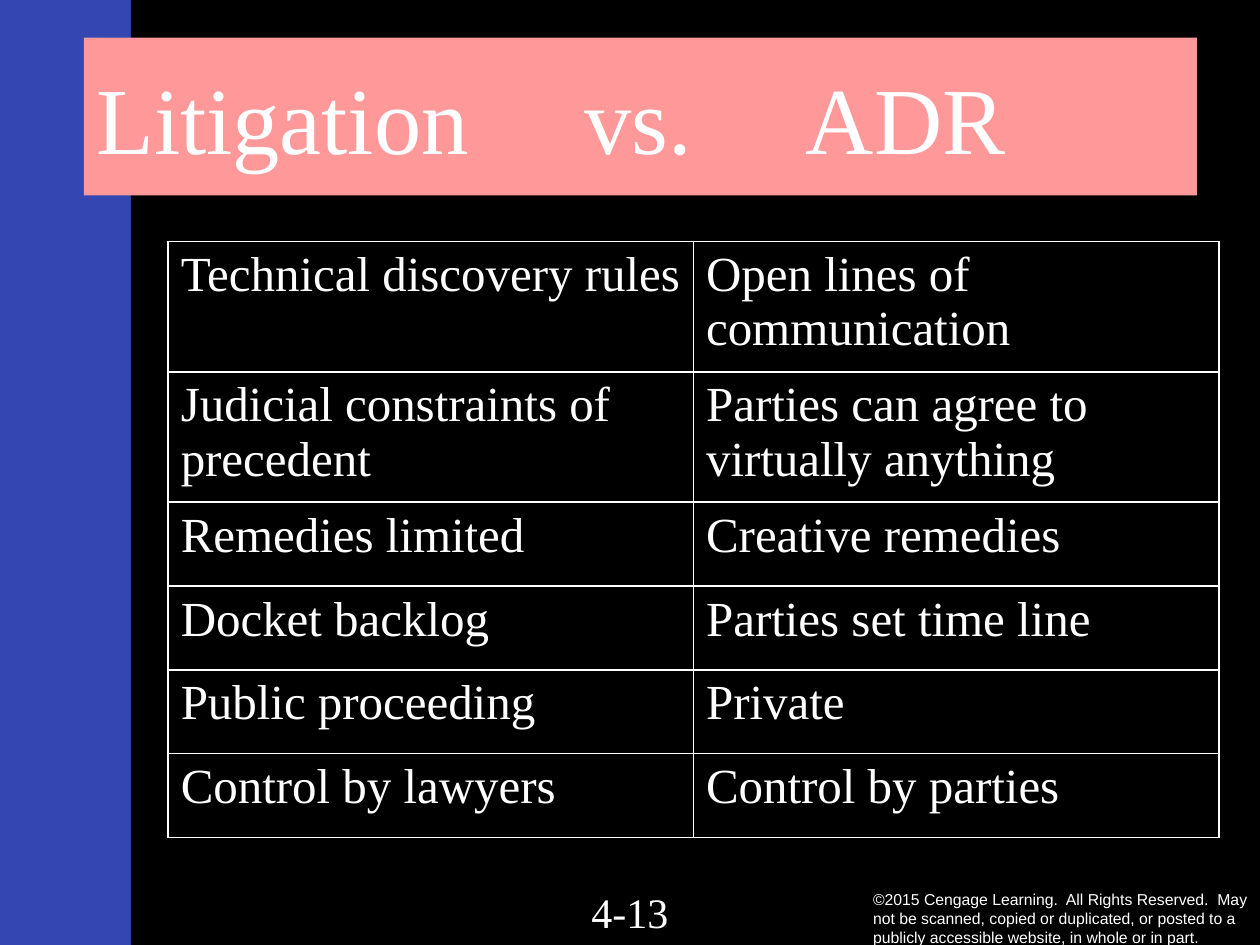
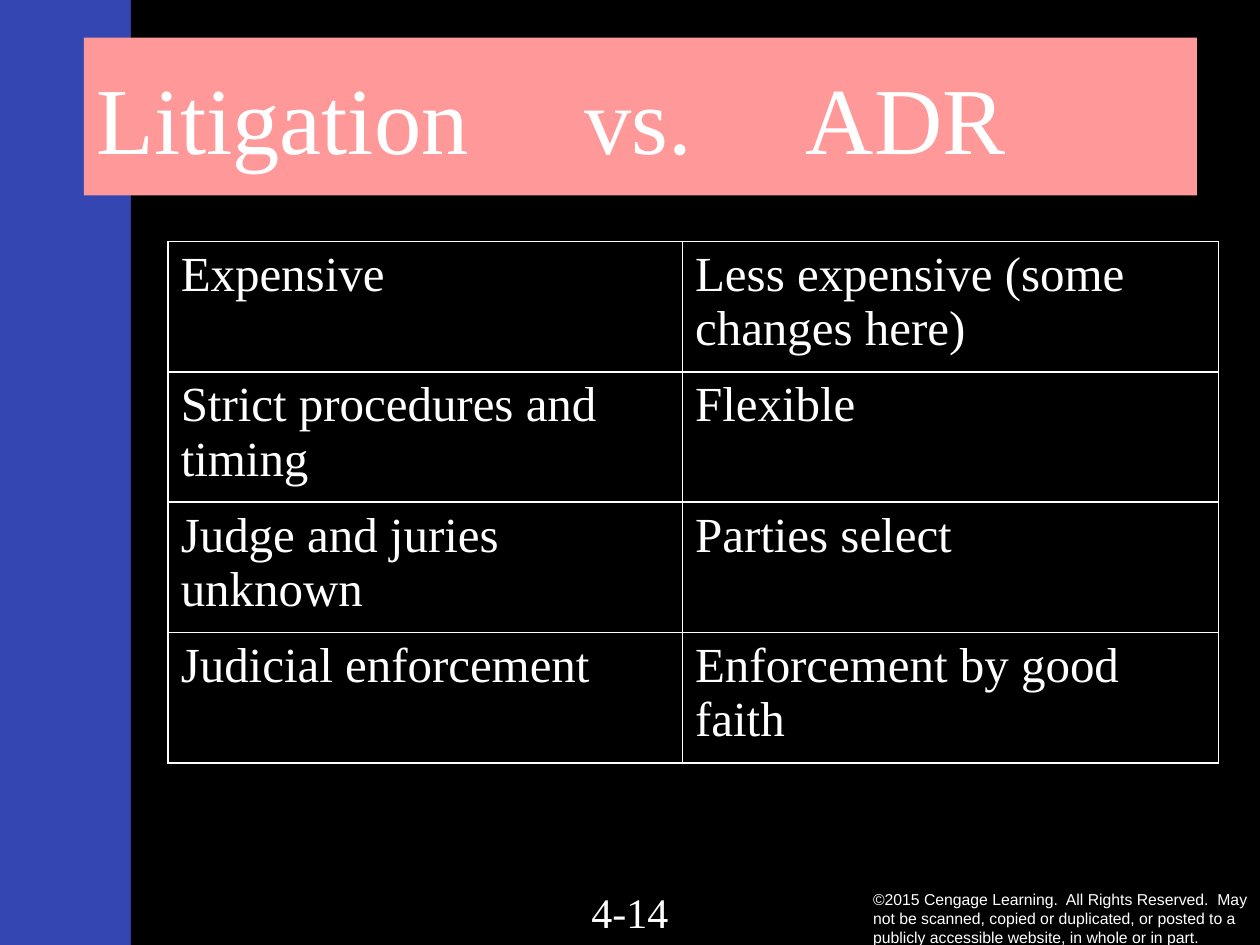
import lxml.etree
import pptx
import pptx.dml.color
import pptx.enum.shapes
import pptx.enum.text
import pptx.oxml.ns
import pptx.util

Cm = pptx.util.Cm
Pt = pptx.util.Pt
Align = pptx.enum.text.PP_ALIGN
Anchor = pptx.enum.text.MSO_ANCHOR
qn = pptx.oxml.ns.qn

COLORS = {"edge": "3346B1", "panel": "000000", "title": "FF9999", "ink": "FFFFFF"}
SERIF = "Times New Roman"
SANS = "Arial"
TITLE = "Litigation\tvs.\tADR"
TITLE_TABS = (9.83, 14.3)
COPYRIGHT = (
    "©2015 Cengage Learning.  All Rights Reserved.  May not be scanned, copied or "
    "duplicated, or posted to a publicly accessible website, in whole or in part."
)

COMPARISONS = [
    {
        "number": "4-13",
        "widths": (10.59, 10.59),
        "heights": (2.52, 2.52, 1.69, 1.69, 1.69, 1.69),
        "rows": [
            ("Technical discovery rules", "Open lines of communication"),
            ("Judicial constraints of precedent", "Parties can agree to virtually anything"),
            ("Remedies limited", "Creative remedies"),
            ("Docket backlog", "Parties set time line"),
            ("Public proceeding", "Private"),
            ("Control by lawyers", "Control by parties"),
        ],
    },
    {
        "number": "4-14",
        "widths": (10.37, 10.8),
        "heights": (2.57,) * 4,
        "rows": [
            ("Expensive", "Less expensive (some changes here)"),
            ("Strict procedures and timing", "Flexible"),
            ("Judge and juries unknown", "Parties select"),
            ("Judicial enforcement", "Enforcement by good faith"),
        ],
    },
]


def color(name):
    return pptx.dml.color.RGBColor.from_string(COLORS[name])


class Slides:
    def __init__(self):
        self.deck = pptx.Presentation()
        self.deck.slide_width = Cm(25.4)
        self.deck.slide_height = Cm(19.05)
        self.page = None

    def add_page(self):
        self.page = self.deck.slides.add_slide(self.deck.slide_layouts[5])
        background = self.page.background.fill
        background.solid()
        background.fore_color.rgb = color("edge")

    def set_text(self, frame, text, size, font=SERIF, align=Align.LEFT, tabs=()):
        frame.word_wrap = True
        para = frame.paragraphs[0]
        para.text = text
        para.alignment = align
        if tabs:
            stops = lxml.etree.SubElement(para._p.get_or_add_pPr(), qn("a:tabLst"))
            for position in tabs:
                lxml.etree.SubElement(stops, qn("a:tab"), pos=str(Cm(position)), algn="l")
        para.font.name = font
        para.font.size = Pt(size)
        para.font.color.rgb = color("ink")

    def panel(self, left, top, width, height):
        panel = self.page.shapes.add_shape(
            pptx.enum.shapes.MSO_SHAPE.RECTANGLE, Cm(left), Cm(top), Cm(width), Cm(height)
        )
        panel.shadow.inherit = False
        panel.fill.solid()
        panel.fill.fore_color.rgb = color("panel")
        panel.line.fill.background()
        title = self.page.shapes.title.element
        title.addprevious(panel.element)

    def title(self, text, left, top, width, height):
        title = self.page.shapes.title
        title.left, title.top, title.width, title.height = map(Cm, (left, top, width, height))
        title.fill.solid()
        title.fill.fore_color.rgb = color("title")
        frame = title.text_frame
        frame.auto_size = pptx.enum.text.MSO_AUTO_SIZE.NONE
        frame.vertical_anchor = Anchor.MIDDLE
        self.set_text(frame, text, 54, tabs=TITLE_TABS)

    def text(self, text, left, top, width, height, size, anchor=Anchor.TOP, **style):
        box = self.page.shapes.add_textbox(Cm(left), Cm(top), Cm(width), Cm(height))
        box.text_frame.vertical_anchor = anchor
        self.set_text(box.text_frame, text, size, **style)

    def border(self, cell):
        properties = cell._tc.get_or_add_tcPr()
        for side in ("lnL", "lnR", "lnT", "lnB"):
            line = lxml.etree.SubElement(properties, qn(f"a:{side}"), w=str(Pt(1)))
            fill = lxml.etree.SubElement(line, qn("a:solidFill"))
            lxml.etree.SubElement(fill, qn("a:srgbClr"), val=COLORS["ink"])

    def table(self, rows, widths, heights, left, top):
        table = self.page.shapes.add_table(
            len(rows), len(widths), Cm(left), Cm(top), Cm(sum(widths)), Cm(sum(heights))
        ).table
        table.first_row = False
        table.horz_banding = False
        for column, width in zip(table.columns, widths):
            column.width = Cm(width)
        for row, height, texts in zip(table.rows, heights, rows):
            row.height = Cm(height)
            for cell, text in zip(row.cells, texts):
                self.border(cell)
                cell.fill.background()
                self.set_text(cell.text_frame, text, 28)

    def comparison(self, number, widths, heights, rows):
        self.add_page()
        self.panel(2.64, 0, 22.76, 19.05)
        self.text(COPYRIGHT, 17.35, 17.8, 8.05, 1.42, 9, anchor=Anchor.MIDDLE, font=SANS)
        self.text(number, 9.74, 17.74, 5.92, 1.31, 24, align=Align.CENTER)
        self.title(TITLE, 1.69, 0.76, 22.44, 3.18)
        self.table(rows, widths, heights, 3.39, 4.87)


def main():
    slides = Slides()
    for comparison in COMPARISONS:
        slides.comparison(**comparison)
    slides.deck.save("out.pptx")


if __name__ == "__main__":
    main()
